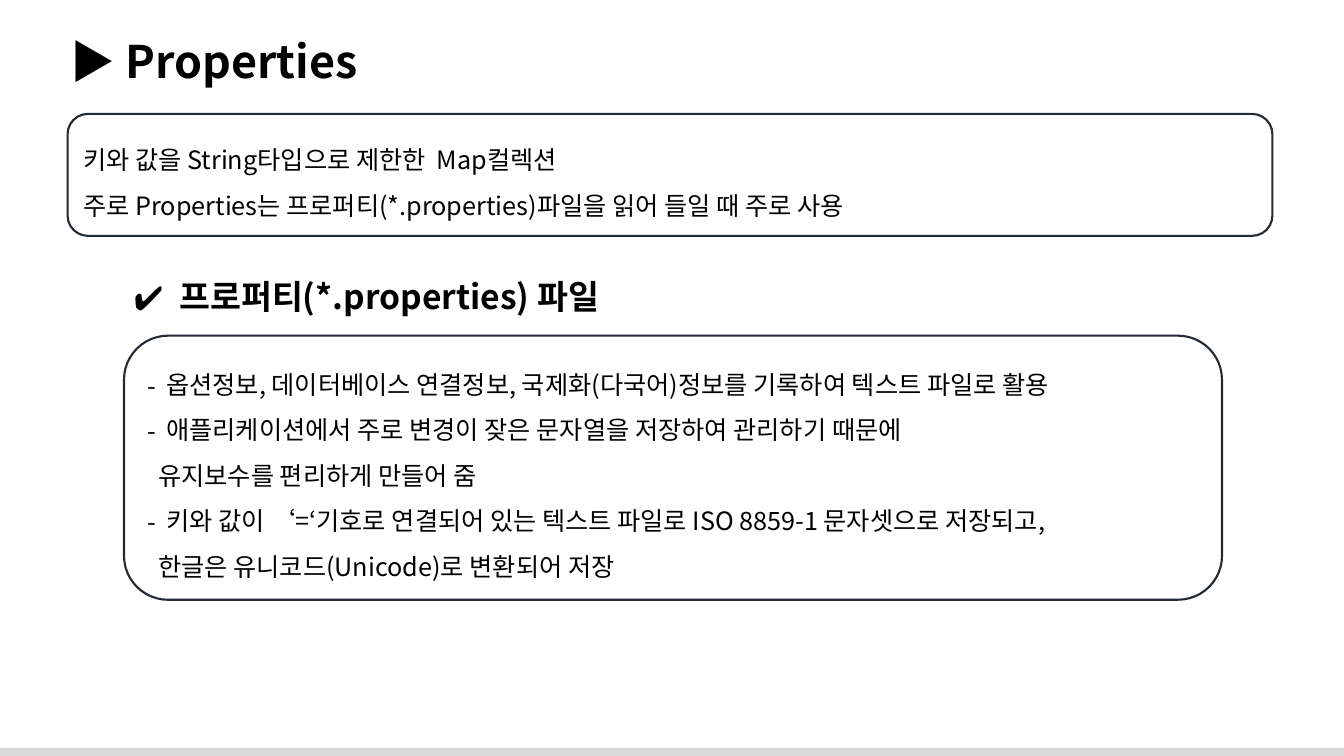
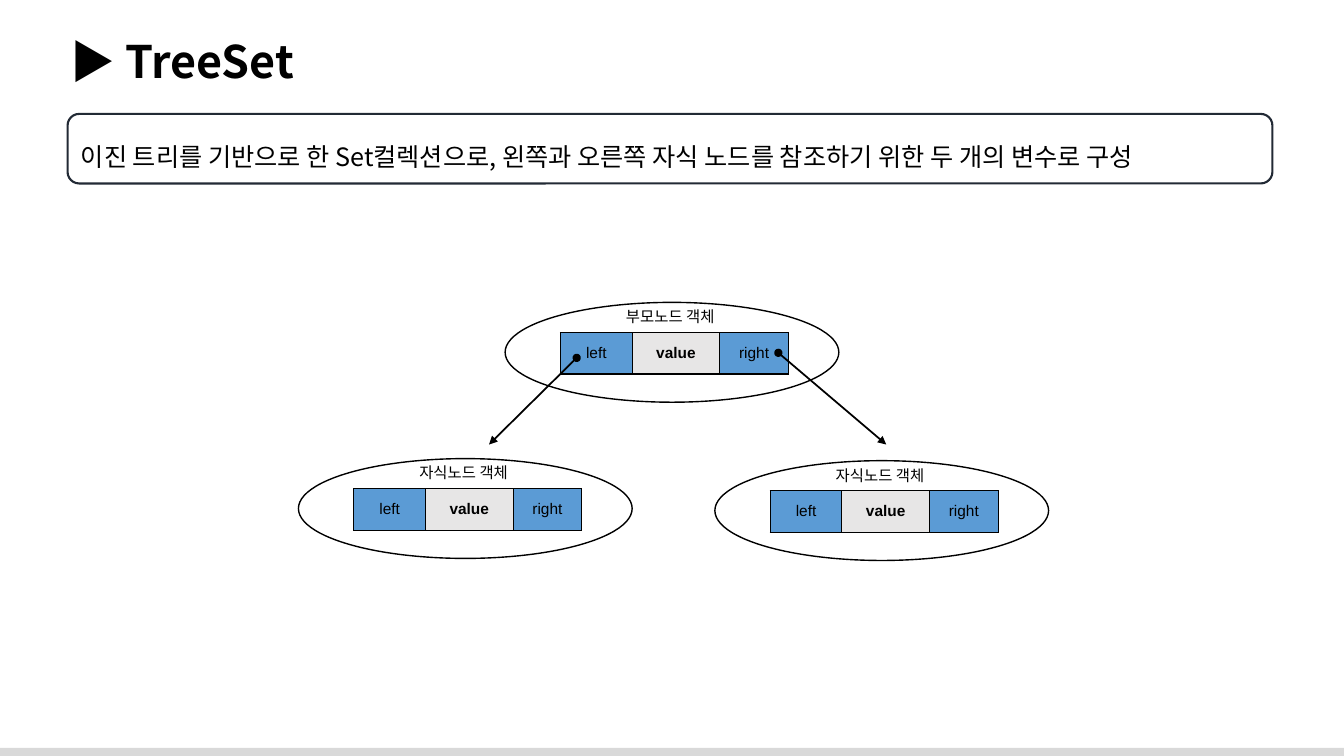
import pptx
import pptx.dml.color
import pptx.enum.shapes
import pptx.enum.text
import pptx.oxml
import pptx.oxml.ns
import pptx.util
from pptx.util import Inches

Pt = pptx.util.Pt
RGBColor = pptx.dml.color.RGBColor
MSO_SHAPE = pptx.enum.shapes.MSO_SHAPE
MSO_ANCHOR = pptx.enum.text.MSO_ANCHOR
MSO_AUTO_SIZE = pptx.enum.text.MSO_AUTO_SIZE
PP_ALIGN = pptx.enum.text.PP_ALIGN
qn = pptx.oxml.ns.qn

BLACK = RGBColor(0x00, 0x00, 0x00)
NAVY = RGBColor(0x22, 0x2A, 0x35)
BAND_GRAY = RGBColor(0xD9, 0xD9, 0xD9)
LINK_BLUE = RGBColor(0x5B, 0x9B, 0xD5)
VALUE_GRAY = RGBColor(0xE7, 0xE6, 0xE6)

KOREAN_FONT = "Noto Sans CJK KR"
LATIN_FONT = "Arial"
TITLE_AND_CONTENT, TITLE_ONLY = 1, 5

PANEL_LEFT, PANEL_TOP, PANEL_WIDTH = Inches(0.67), Inches(1.13), Inches(11.95)
NODE_WIDTH, NODE_HEIGHT = Inches(3.31), Inches(0.99)
NODE_CELLS = [
    ("left", Inches(0.71), LINK_BLUE, False),
    ("value", Inches(0.87), VALUE_GRAY, True),
    ("right", Inches(0.68), LINK_BLUE, False),
]


def add_xml(parent, tag, **attributes):
    child = pptx.oxml.parse_xml(f"<{tag} {pptx.oxml.ns.nsdecls('a')}/>")
    for name, value in attributes.items():
        child.set(name, value)
    parent.append(child)
    return child


def format_paragraph(paragraph, size, bold=False, font=KOREAN_FONT):
    for run in paragraph.runs:
        run.font.name = font
        run.font.size = Pt(size)
        run.font.bold = bold
        run.font.color.rgb = BLACK
        add_xml(run.font._element, "a:ea", typeface=font)


def set_bullet(paragraph, character, indent):
    """Give the paragraph a hanging bullet, or only an indent without a character."""
    properties = paragraph._p.get_or_add_pPr()
    properties.set("marL", str(indent))
    properties.set("indent", str(-indent if character else 0))
    if character:
        add_xml(properties, "a:buFont", typeface=KOREAN_FONT)
        add_xml(properties, "a:buChar", char=character)
    else:
        add_xml(properties, "a:buNone")


def set_lines(text_frame, lines):
    text_frame.word_wrap = True
    text_frame.auto_size = MSO_AUTO_SIZE.NONE
    text_frame.vertical_anchor = MSO_ANCHOR.MIDDLE
    text_frame.text = "\n".join(lines)
    for paragraph in text_frame.paragraphs:
        paragraph.alignment = PP_ALIGN.LEFT
        paragraph.line_spacing = 1.5
        paragraph.space_before = Pt(0)
        format_paragraph(paragraph, 18)


def place(shape, left, top, width, height):
    shape.left, shape.top, shape.width, shape.height = left, top, width, height


def add_outline(slide, kind, left, top, width, height, color, weight):
    shape = slide.shapes.add_shape(kind, left, top, width, height)
    shape.shadow.inherit = False
    shape.fill.background()
    shape.line.color.rgb = color
    shape.line.width = Pt(weight)
    return shape


def add_panel(slide, left, top, width, height, lines=()):
    panel = add_outline(slide, MSO_SHAPE.ROUNDED_RECTANGLE,
                        left, top, width, height, NAVY, 1.5)
    if lines:
        set_lines(panel.text_frame, lines)


def add_label(slide, left, top, width, height, text, size, bold=False):
    text_frame = slide.shapes.add_textbox(left, top, width, height).text_frame
    text_frame.word_wrap = True
    text_frame.text = text
    format_paragraph(text_frame.paragraphs[0], size, bold)
    return text_frame.paragraphs[0]


def add_titled_slide(presentation, layout, title):
    slide = presentation.slides.add_slide(presentation.slide_layouts[layout])
    text_frame = slide.shapes.title.text_frame
    text_frame.text = title
    text_frame.auto_size = MSO_AUTO_SIZE.NONE
    text_frame.vertical_anchor = MSO_ANCHOR.TOP
    text_frame.paragraphs[0].alignment = PP_ALIGN.LEFT
    format_paragraph(text_frame.paragraphs[0], 32, bold=True)
    return slide


def set_up_master(presentation, slide):
    """Place the title and move a footer band to the master, for all slides."""
    master = presentation.slide_master
    place(master.placeholders[0], Inches(0.6), Inches(0.28), Inches(12.6), Inches(0.64))
    band = slide.shapes.add_shape(MSO_SHAPE.RECTANGLE, Inches(-0.03), Inches(7.42),
                                  Inches(13.39), Inches(0.11))
    band.shadow.inherit = False
    band.fill.solid()
    band.fill.fore_color.rgb = BAND_GRAY
    band.line.fill.background()
    master.shapes.element.append(band._element)


def add_list_panel(slide, left, top, width, height, items):
    """Frame the body placeholder; items are (bullet, text) pairs."""
    add_panel(slide, left, top, width, height)
    body = slide.placeholders[1]
    margin = Inches(0.13)
    place(body, left + margin, top + margin, width - 2 * margin, height - 2 * margin)
    set_lines(body.text_frame, [text for _, text in items])
    for paragraph, (bullet, _) in zip(body.text_frame.paragraphs, items):
        set_bullet(paragraph, bullet, Inches(0.19) if bullet else Inches(0.11))


def format_cell(cell, text, fill, bold):
    cell.text = text
    cell.vertical_anchor = MSO_ANCHOR.MIDDLE
    cell.fill.solid()
    cell.fill.fore_color.rgb = fill
    paragraph = cell.text_frame.paragraphs[0]
    paragraph.alignment = PP_ALIGN.CENTER
    format_paragraph(paragraph, 11, bold, LATIN_FONT)
    properties = cell._tc.get_or_add_tcPr()
    for position, side in enumerate(("a:lnL", "a:lnR", "a:lnT", "a:lnB")):
        border = add_xml(properties, side, w=str(Pt(1)))
        add_xml(add_xml(border, "a:solidFill"), "a:srgbClr", val=str(BLACK))
        properties.insert(position, border)


def add_node(slide, left, top, label):
    """Draw a tree node: an ellipse with a label and a left/value/right row."""
    add_outline(slide, MSO_SHAPE.OVAL, left, top, NODE_WIDTH, NODE_HEIGHT, BLACK, 1)
    table_width = sum(width for _, width, _, _ in NODE_CELLS)
    table = slide.shapes.add_table(1, len(NODE_CELLS), left + Inches(0.55),
                                   top + Inches(0.3), table_width, Inches(0.41)).table
    table.first_row = table.horz_banding = False
    for column, (text, width, fill, bold) in enumerate(NODE_CELLS):
        table.columns[column].width = width
        format_cell(table.cell(0, column), text, fill, bold)
    add_label(slide, left + Inches(1.1), top, Inches(1.18), Inches(0.29), label, 11)


def add_child_arrow(slide, start, end):
    arrow = slide.shapes.add_connector(pptx.enum.shapes.MSO_CONNECTOR.STRAIGHT,
                                       *map(Inches, start + end))
    arrow.line.color.rgb = BLACK
    arrow.line.width = Pt(1.25)
    line = arrow.line._get_or_add_ln()
    add_xml(line, "a:headEnd", type="oval")
    add_xml(line, "a:tailEnd", type="triangle")
    add_xml(arrow._element.find(qn("p:spPr")), "a:effectLst")


def add_properties_slide(presentation):
    slide = add_titled_slide(presentation, TITLE_AND_CONTENT, "▶ Properties")
    add_panel(slide, PANEL_LEFT, PANEL_TOP, PANEL_WIDTH, Inches(1.21), [
        "키와 값을 String타입으로 제한한  Map컬렉션",
        "주로 Properties는 프로퍼티(*.properties)파일을 읽어 들일 때 주로 사용",
    ])
    heading = add_label(slide, Inches(1.23), Inches(2.69), Inches(5), Inches(0.5),
                        "프로퍼티(*.properties) 파일", 24, bold=True)
    set_bullet(heading, "✔", Inches(0.45))
    add_list_panel(slide, Inches(1.23), Inches(3.33), Inches(10.89), Inches(2.62), [
        ("-", "옵션정보, 데이터베이스 연결정보, 국제화(다국어)정보를 기록하여 텍스트 파일로 활용"),
        ("-", "애플리케이션에서 주로 변경이 잦은 문자열을 저장하여 관리하기 때문에"),
        ("", "유지보수를 편리하게 만들어 줌"),
        ("-", "키와 값이 ‘=‘기호로 연결되어 있는 텍스트 파일로 ISO 8859-1 문자셋으로 저장되고,"),
        ("", "한글은 유니코드(Unicode)로 변환되어 저장"),
    ])
    return slide


def add_tree_set_slide(presentation):
    slide = add_titled_slide(presentation, TITLE_ONLY, "▶ TreeSet")
    add_panel(slide, PANEL_LEFT, PANEL_TOP, PANEL_WIDTH, Inches(0.69), [
        "이진 트리를 기반으로 한 Set컬렉션으로, 왼쪽과 오른쪽 자식 노드를 참조하기 위한 두 개의 변수로 구성",
    ])
    add_node(slide, Inches(5.01), Inches(3), "부모노드 객체")
    add_node(slide, Inches(2.96), Inches(4.55), "자식노드 객체")
    add_node(slide, Inches(7.09), Inches(4.57), "자식노드 객체")
    add_child_arrow(slide, (5.72, 3.55), (4.85, 4.41))
    add_child_arrow(slide, (7.72, 3.5), (8.79, 4.41))


def main():
    presentation = pptx.Presentation()
    presentation.slide_width = Inches(13.33)
    presentation.slide_height = Inches(7.5)
    properties_slide = add_properties_slide(presentation)
    set_up_master(presentation, properties_slide)
    add_tree_set_slide(presentation)
    presentation.save("out.pptx")


if __name__ == "__main__":
    main()
